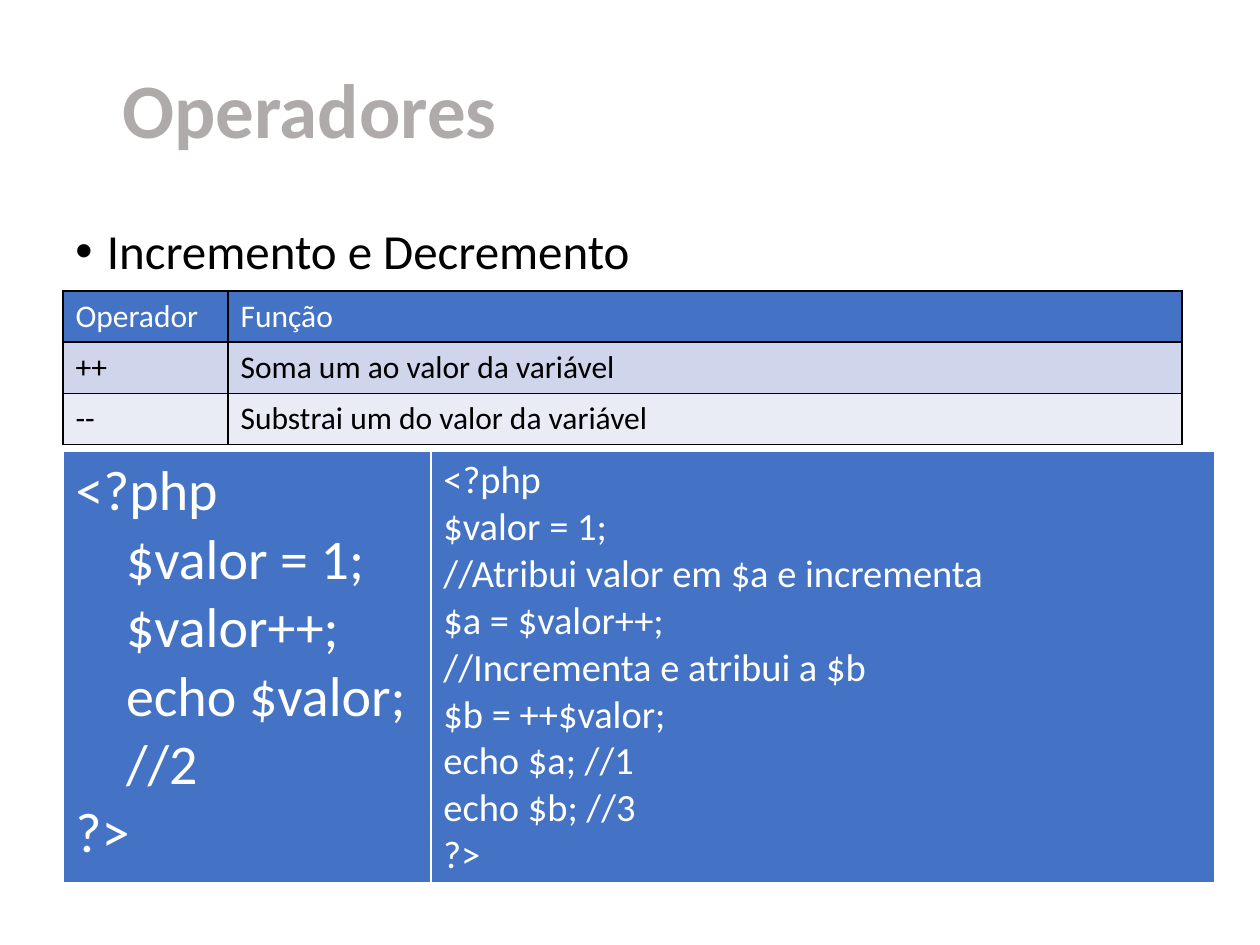
import pptx
import pptx.dml.color
import pptx.enum.text
import pptx.oxml.ns
import pptx.util
from dataclasses import dataclass
from lxml import etree

Inches = pptx.util.Inches
Pt = pptx.util.Pt


@dataclass(frozen=True)
class Theme:
    font: str = "Calibri"
    title_color: str = "AFABAB"
    dark: str = "000000"
    light: str = "FFFFFF"
    accent: str = "4472C4"
    bands: tuple = ("CFD5EA", "E9EBF5")
    title_size: int = 44
    bullet_size: int = 28
    table_size: int = 18
    large_code_size: int = 32
    small_code_size: int = 22


theme = Theme()


def add_text(paragraph, text, size, color, bold=False):
    run = paragraph.add_run()
    run.text = text
    run.font.name = theme.font
    run.font.size = Pt(size)
    run.font.bold = bold
    run.font.color.rgb = pptx.dml.color.RGBColor.from_string(color)


def style_cell(cell, fill, border_color, border_widths):
    """Set the borders (left, right, top, bottom, in points), then the fill."""
    properties = cell._tc.get_or_add_tcPr()
    for side, width in zip("LRTB", border_widths):
        line = etree.SubElement(properties, pptx.oxml.ns.qn(f"a:ln{side}"), w=str(Pt(width)))
        solid = etree.SubElement(line, pptx.oxml.ns.qn("a:solidFill"))
        etree.SubElement(solid, pptx.oxml.ns.qn("a:srgbClr"), val=border_color)
    cell.fill.solid()
    cell.fill.fore_color.rgb = pptx.dml.color.RGBColor.from_string(fill)


presentation = pptx.Presentation()
presentation.slide_width = Inches(10)
presentation.slide_height = Inches(7.5)
slide = presentation.slides.add_slide(presentation.slide_layouts[5])

# Title
title = slide.shapes.title
title.left, title.top = Inches(0.87), Inches(0.52)
title.width, title.height = Inches(6.66), Inches(0.76)
title.text_frame.auto_size = pptx.enum.text.MSO_AUTO_SIZE.NONE
title.text_frame.vertical_anchor = pptx.enum.text.MSO_ANCHOR.MIDDLE
paragraph = title.text_frame.paragraphs[0]
paragraph.alignment = pptx.enum.text.PP_ALIGN.LEFT
paragraph.line_spacing = 0.9
add_text(paragraph, "Operadores", theme.title_size, theme.title_color, bold=True)

# Bulleted topic
topic = slide.shapes.add_textbox(Inches(0.5), Inches(1.75), Inches(9), Inches(4.95))
topic.text_frame.word_wrap = True
paragraph = topic.text_frame.paragraphs[0]
paragraph.line_spacing = 0.9
paragraph.space_before = Pt(10)
properties = paragraph._p.get_or_add_pPr()
properties.set("marL", str(Inches(0.25)))
properties.set("indent", str(Inches(-0.25)))
etree.SubElement(properties, pptx.oxml.ns.qn("a:buFont"), typeface="Arial")
etree.SubElement(properties, pptx.oxml.ns.qn("a:buChar"), char="•")
add_text(paragraph, "Incremento e Decremento", theme.bullet_size, theme.dark)

# Operator table
operators = [
    ("Operador", "Função"),
    ("++", "Soma um ao valor da variável"),
    ("--", "Substrai um do valor da variável"),
]
row_fills = (theme.accent, *theme.bands)
operator_table = slide.shapes.add_table(
    3, 2, Inches(0.5), Inches(2.31), Inches(8.88), Inches(1.22)).table
operator_table.columns[0].width = Inches(1.31)
operator_table.columns[1].width = Inches(7.57)
for row_index, (texts, fill) in enumerate(zip(operators, row_fills)):
    color = theme.light if row_index == 0 else theme.dark
    for column_index, text in enumerate(texts):
        cell = operator_table.cell(row_index, column_index)
        style_cell(cell, fill, theme.dark, (1, 1, 1, 1))
        add_text(cell.text_frame.paragraphs[0], text, theme.table_size, color)

# Code examples side by side: width, type size, lines as (indent level, text)
examples = [
    (2.92, theme.large_code_size, [
        (0, "<?php"), (1, "$valor = 1;"), (1, "$valor++;"),
        (1, "echo $valor;"), (1, "//2"), (0, "?>"),
    ]),
    (6.22, theme.small_code_size, [
        (0, "<?php"), (0, "$valor = 1;"),
        (0, "//Atribui valor em $a e incrementa"), (0, "$a = $valor++;"),
        (0, "//Incrementa e atribui a $b"), (0, "$b = ++$valor;"),
        (0, "echo $a; //1"), (0, "echo $b; //3"), (0, "?>"),
    ]),
]
code_table = slide.shapes.add_table(
    1, 2, Inches(0.5), Inches(3.58), Inches(9.14), Inches(3.44)).table
for column_index, (width, size, lines) in enumerate(examples):
    code_table.columns[column_index].width = Inches(width)
    cell = code_table.cell(0, column_index)
    style_cell(cell, theme.accent, theme.light, (1, 1, 1, 3))
    for line_index, (level, text) in enumerate(lines):
        frame = cell.text_frame
        paragraph = frame.add_paragraph() if line_index else frame.paragraphs[0]
        if level:
            paragraph._p.get_or_add_pPr().set("marL", str(Inches(0.4 * level)))
        add_text(paragraph, text, size, theme.light)

presentation.save("out.pptx")
